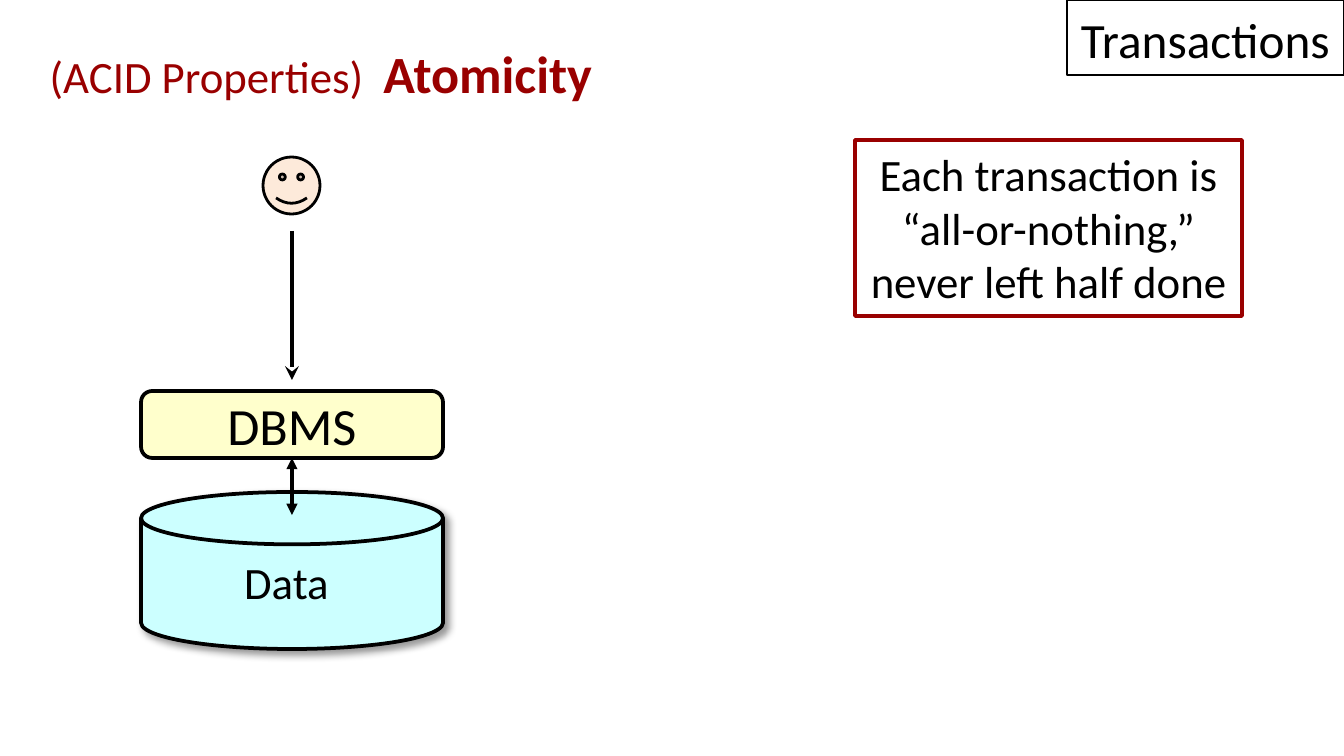
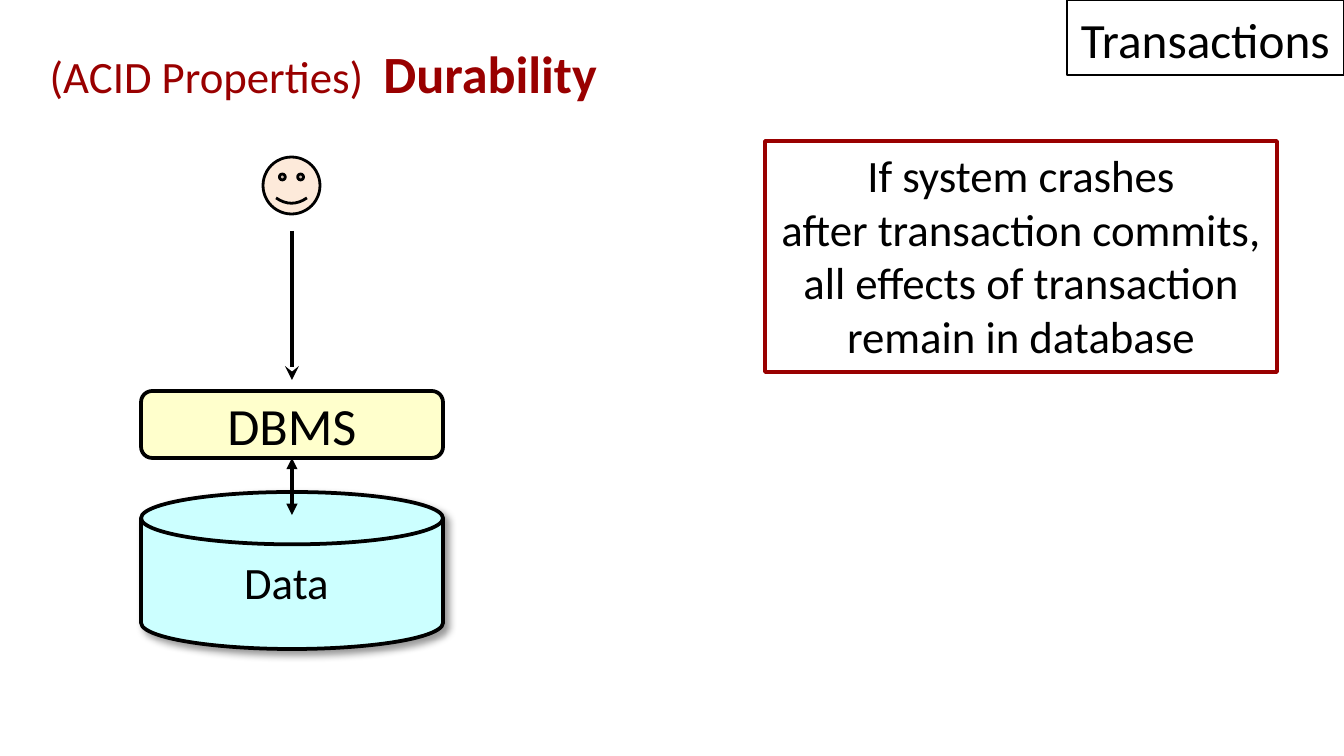
from dataclasses import dataclass

from lxml.etree import SubElement
from pptx import Presentation
from pptx.dml.color import RGBColor
from pptx.enum.shapes import MSO_CONNECTOR, MSO_SHAPE
from pptx.enum.text import MSO_ANCHOR, MSO_AUTO_SIZE, PP_ALIGN
from pptx.oxml.ns import qn
from pptx.util import Inches, Pt


@dataclass(frozen=True)
class Theme:
    font: str = "Calibri"
    ink: str = "000000"
    red: str = "990000"
    cream: str = "FFFFCC"
    aqua: str = "CCFFFF"
    skin: str = "FDEADA"
    body: float = 24
    tag: float = 26.4
    large: float = 28


THEME = Theme()
PX = 9144000 // 1344  # EMU in one px


def draw(slide, kind, box, fill=None, line=THEME.ink, width=2):
    shape = slide.shapes.add_shape(kind, *[n * PX for n in box])
    shape.shadow.inherit = False
    if fill:
        shape.fill.solid()
        shape.fill.fore_color.rgb = RGBColor.from_string(fill)
    else:
        shape.fill.background()
    shape.line.color.rgb = RGBColor.from_string(line)
    shape.line.width = Pt(width)
    return shape


def write(shape, text, size=THEME.body, color=THEME.ink, bold=False,
          align=PP_ALIGN.CENTER, anchor=MSO_ANCHOR.MIDDLE, wrap=True, grow=False):
    """Continue the last paragraph; each further line starts a new one."""
    frame = shape.text_frame
    frame.word_wrap = wrap
    frame.vertical_anchor = anchor
    frame.auto_size = MSO_AUTO_SIZE.SHAPE_TO_FIT_TEXT if grow else MSO_AUTO_SIZE.NONE
    for i, line in enumerate(text.split("\n")):
        para = frame.add_paragraph() if i else frame.paragraphs[-1]
        para.alignment = align
        run = para.add_run()
        run.text = line
        run.font.name = THEME.font
        run.font.size = Pt(size)
        run.font.bold = bold
        run.font.color.rgb = RGBColor.from_string(color)


SLIDES = [
    ("Atomicity", (855, 140, 387, 176),
     "Each transaction is\n“all-or-nothing,”\nnever left half done"),
    ("Durability", (765, 141, 512, 231),
     "If system crashes\nafter transaction commits,\n"
     "all effects of transaction\nremain in database"),
]
MID = 292  # axis of the diagram

deck = Presentation()
deck.slide_width = 1344 * PX
deck.slide_height = 756 * PX

for name, box, rule in SLIDES:
    slide = deck.slides.add_slide(deck.slide_layouts[6])

    # Tag and title
    tag = draw(slide, MSO_SHAPE.RECTANGLE, (1067, 0, 277, 75), width=0.75)
    write(tag, "Transactions", size=THEME.tag, anchor=MSO_ANCHOR.BOTTOM, wrap=False)

    title = slide.shapes.add_textbox(*[n * PX for n in (23, 42, 1185, 669)])
    style = dict(color=THEME.red, align=PP_ALIGN.LEFT, anchor=MSO_ANCHOR.TOP)
    write(title, "(ACID Properties)  ", **style)
    write(title, name, size=THEME.large, bold=True, **style)
    para = title.text_frame.paragraphs[0]
    para.line_spacing = 0.9
    para.space_after = Pt(12)
    indent = para._p.get_or_add_pPr()
    indent.set("marL", str(Inches(0.3)))
    indent.set("indent", str(Inches(-0.2)))

    # Disk with its soft shadow, and the system above it
    disk = draw(slide, MSO_SHAPE.FLOWCHART_MAGNETIC_DISK,
                (MID - 151, 492, 302, 157), THEME.aqua)
    shade = SubElement(disk.element.spPr.find(qn("a:effectLst")), qn("a:outerShdw"),
                       blurRad=str(Pt(4)), dist=str(Pt(3)), dir="2700000",
                       algn="tl", rotWithShape="0")
    tint = SubElement(shade, qn("a:srgbClr"), val=THEME.ink)
    SubElement(tint, qn("a:alpha"), val="40000")

    dbms = draw(slide, MSO_SHAPE.ROUNDED_RECTANGLE,
                (MID - 151, 391, 302, 67), THEME.cream)
    write(dbms, "DBMS", size=THEME.large)

    # Arrows: system to disk, user to system
    for top, end, width, heads, start in [
        (458, 515, 2, {"headEnd": "triangle", "tailEnd": "triangle"}, dbms),
        (231, 380, 2.5, {"tailEnd": "stealth"}, None),
    ]:
        link = slide.shapes.add_connector(
            MSO_CONNECTOR.STRAIGHT, MID * PX, top * PX, MID * PX, end * PX)
        if start:
            link.begin_connect(start, 2)
        link.line.color.rgb = RGBColor.from_string(THEME.ink)
        link.line.width = Pt(width)
        for tip, kind in heads.items():
            SubElement(link.line._get_or_add_ln(), qn(f"a:{tip}"), type=kind)
        SubElement(link.element.spPr, qn("a:effectLst"))

    # User, disk label and the rule
    draw(slide, MSO_SHAPE.SMILEY_FACE, (MID - 29, 157, 57, 57), THEME.skin, width=1.5)
    label = slide.shapes.add_textbox(*[n * PX for n in (231, 548, 113, 67)])
    write(label, "Data", align=PP_ALIGN.LEFT, anchor=MSO_ANCHOR.TOP,
          wrap=False, grow=True)
    note = draw(slide, MSO_SHAPE.RECTANGLE, box, line=THEME.red)
    write(note, rule, anchor=MSO_ANCHOR.TOP, wrap=False, grow=True)

deck.save("out.pptx")
